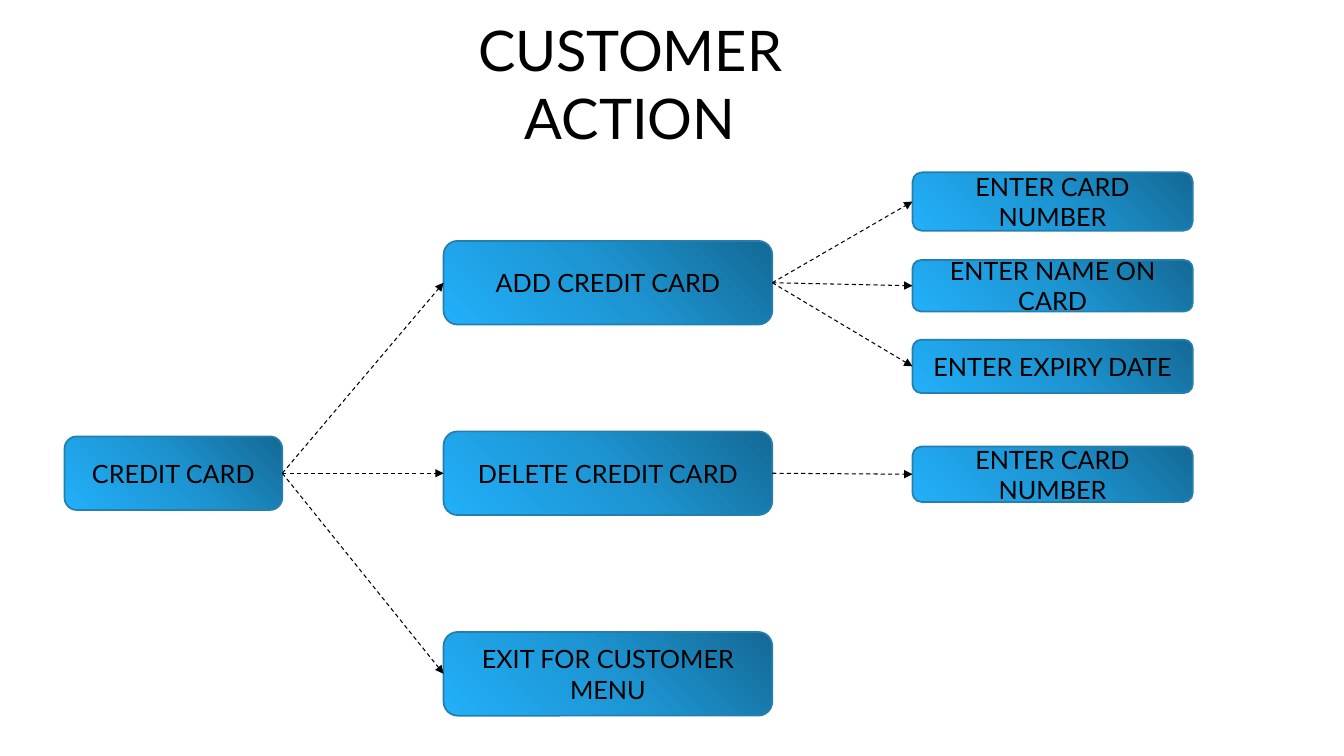
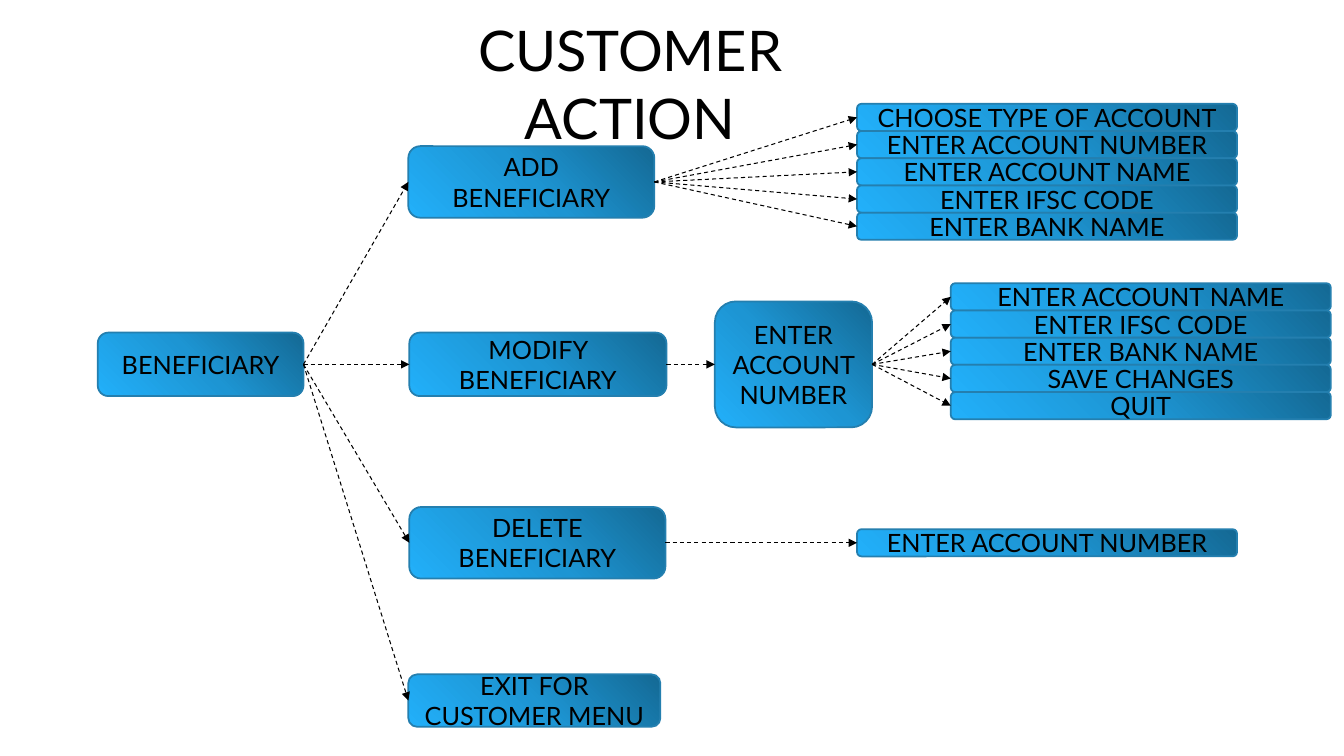
import copy
from dataclasses import dataclass

import lxml.etree
import pptx
import pptx.util
from pptx.dml.color import RGBColor
from pptx.enum.dml import MSO_LINE
from pptx.enum.shapes import MSO_CONNECTOR, MSO_SHAPE
from pptx.enum.text import MSO_ANCHOR, MSO_AUTO_SIZE, PP_ALIGN
from pptx.oxml.ns import qn

Inches, Pt = pptx.util.Inches, pptx.util.Pt


@dataclass(frozen=True)
class Theme:
    """Colours, type and line widths shared by the slides."""
    text: str = "000000"
    outline: str = "247FAF"
    gradient: tuple = ((0, "146994"), (0.5, "1D95D3"), (1, "22B0FA"))
    gradient_angle: int = 225
    font: str = "Lato"
    title_size: int = 40
    node_size: int = 18
    outline_width: float = 1.25
    arrow_width: float = 0.75


T = Theme()
TITLE = "CUSTOMER ACTION"
TITLE_BOX = (3.9, 0.11, 4.7, 0.77)
LEFT_SITE, RIGHT_SITE = 1, 3


@dataclass(frozen=True)
class Node:
    """A labelled box, placed relative to its tree, and what it leads to."""
    text: str
    box: tuple
    children: tuple = ()


def apply(target, formats):
    """Set each attribute named in formats."""
    for name, value in formats.items():
        setattr(target, name, value)


def write(shape, text, size, formats):
    """Put centred text in a shape."""
    tf = shape.text_frame
    apply(tf, {"word_wrap": True, **formats})
    p = tf.paragraphs[0]
    p.alignment = PP_ALIGN.CENTER
    r = p.add_run()
    r.text = text
    apply(r.font, {"name": T.font, "size": Pt(size)})
    r.font.color.rgb = RGBColor.from_string(T.text)


def title(s, box):
    """Place the slide title in its box."""
    tb = s.shapes.add_textbox(*map(Inches, box))
    write(tb, TITLE, T.title_size, {"auto_size": MSO_AUTO_SIZE.SHAPE_TO_FIT_TEXT})


def paint(sp):
    """Give a box the shared gradient and outline."""
    sp.shadow.inherit = False
    sp.fill.gradient()
    sp.fill.gradient_angle = T.gradient_angle
    stops = sp._element.spPr.find(".//" + qn("a:gsLst"))
    while len(stops) < len(T.gradient):
        stops.append(copy.deepcopy(stops[0]))
    for stop, (position, color) in zip(sp.fill.gradient_stops, T.gradient):
        stop.position = position
        stop.color.rgb = RGBColor.from_string(color)
    sp.line.color.rgb = RGBColor.from_string(T.outline)
    sp.line.width = Pt(T.outline_width)


def arrow(s, parent, child):
    """Join two boxes with a dashed arrow."""
    c = s.shapes.add_connector(MSO_CONNECTOR.STRAIGHT, 0, 0, 0, 0)
    c.begin_connect(parent, RIGHT_SITE)
    c.end_connect(child, LEFT_SITE)
    c.line.color.rgb = RGBColor.from_string(T.text)
    apply(c.line, {"width": Pt(T.arrow_width), "dash_style": MSO_LINE.DASH})
    spPr = c._element.spPr
    lxml.etree.SubElement(spPr.find(qn("a:ln")), qn("a:tailEnd"), type="triangle")
    lxml.etree.SubElement(spPr, qn("a:effectLst"))


def tree(s, node, origin):
    """Draw a node and its descendants from the tree's top left corner."""
    x, y, w, h = node.box
    sp = s.shapes.add_shape(MSO_SHAPE.ROUNDED_RECTANGLE,
                            *map(Inches, (origin[0] + x, origin[1] + y, w, h)))
    paint(sp)
    write(sp, node.text, T.node_size, {"vertical_anchor": MSO_ANCHOR.MIDDLE})
    for child in node.children:
        arrow(s, sp, tree(s, child, origin))
    return sp


def stack(labels, x, y, w=3.77, h=0.27):
    """Return touching nodes, one below the other."""
    return tuple(Node(label, (x, y + i * h, w, h)) for i, label in enumerate(labels))


def column(x, w, rows):
    """Return nodes of one width from rows of text, top, height and children."""
    return tuple(Node(text, (x, y, w, h), children) for text, y, h, children in rows)


def action_slide(prs, root, origin):
    """Add a slide with the title and one tree of actions."""
    s = prs.slides.add_slide(prs.slide_layouts[6])
    tree(s, root, origin)
    title(s, TITLE_BOX)


card_fields = column(8.41, 2.78, (
    ("ENTER CARD NUMBER", 0, 0.58, ()),
    ("ENTER NAME ON CARD", 0.87, 0.51, ()),
    ("ENTER EXPIRY DATE", 1.66, 0.53, ()),
    ("ENTER CARD NUMBER", 2.72, 0.55, ()),
))
credit_card = Node("CREDIT CARD", (0, 2.62, 2.16, 0.73), column(3.76, 3.26, (
    ("ADD CREDIT CARD", 0.68, 0.83, card_fields[:3]),
    ("DELETE CREDIT CARD", 2.57, 0.83, card_fields[3:]),
    ("EXIT FOR CUSTOMER MENU", 4.56, 0.83, ()),
)))

account_fields = ("ENTER ACCOUNT NAME", "ENTER IFSC CODE", "ENTER BANK NAME")
number_field = "ENTER ACCOUNT NUMBER"
add_steps = stack(("CHOOSE TYPE OF ACCOUNT", number_field, *account_fields), 7.53, 0)
modify_steps = stack((*account_fields, "SAVE CHANGES", "QUIT"), 8.46, 1.78)
find_account = Node(number_field, (6.12, 1.96, 1.56, 1.25), modify_steps)
beneficiary = Node("BENEFICIARY", (0, 2.27, 2.04, 0.63), (
    Node("ADD BENEFICIARY", (3.08, 0.42, 2.44, 0.71), add_steps),
    Node("MODIFY BENEFICIARY", (3.09, 2.27, 2.55, 0.63), (find_account,)),
    Node("DELETE BENEFICIARY", (3.09, 4, 2.54, 0.71), stack((number_field,), 7.53, 4.22)),
    Node("EXIT FOR CUSTOMER MENU", (3.08, 5.66, 2.5, 0.52)),
))

prs = pptx.Presentation()
apply(prs, {"slide_width": Inches(13.33), "slide_height": Inches(7.5)})
action_slide(prs, credit_card, (0.64, 1.71))
action_slide(prs, beneficiary, (0.97, 1.03))
prs.save("out.pptx")
